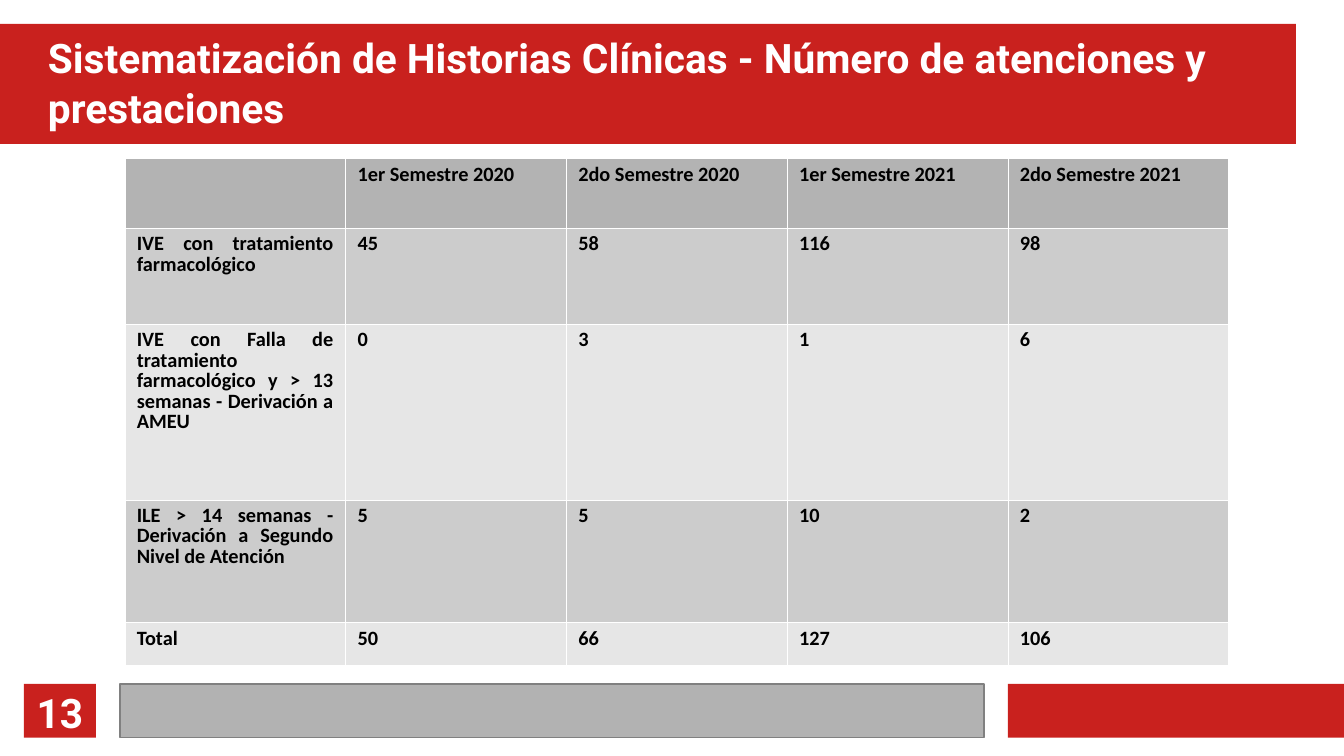
import pptx
import pptx.util
import pptx.dml.color
import pptx.enum.shapes
import pptx.enum.text
import pptx.oxml
import pptx.oxml.ns

Cm = pptx.util.Cm
Pt = pptx.util.Pt
RGBColor = pptx.dml.color.RGBColor
MSO_ANCHOR = pptx.enum.text.MSO_ANCHOR
PP_ALIGN = pptx.enum.text.PP_ALIGN

RED = RGBColor(0xC9, 0x21, 0x1E)
WHITE = RGBColor(0xFF, 0xFF, 0xFF)
BLACK = RGBColor(0, 0, 0)
BAR_GRAY = RGBColor(0xB2, 0xB2, 0xB2)
BAR_EDGE = RGBColor(0x80, 0x80, 0x80)
HEADER_GRAY = RGBColor(0xB3, 0xB3, 0xB3)
DARK_ROW = RGBColor(0xCC, 0xCC, 0xCC)
LIGHT_ROW = RGBColor(0xE6, 0xE6, 0xE6)


def write(p, text, font, size, color, spacing, align):
    p.line_spacing = spacing
    p.alignment = align
    r = p.add_run()
    r.text = text
    r.font.name = font
    r.font.size = Pt(size)
    r.font.bold = True
    r.font.color.rgb = color


def set_frame(tf, anchor):
    tf.word_wrap = True
    tf.auto_size = pptx.enum.text.MSO_AUTO_SIZE.NONE
    tf.margin_left = tf.margin_right = tf.margin_top = tf.margin_bottom = 0
    tf.vertical_anchor = anchor


prs = pptx.Presentation()
prs.slide_width = Cm(28)
prs.slide_height = Cm(15.75)
s = prs.slides.add_slide(prs.slide_layouts[5])

bars = [
    (0, 0.5, 27, 2.5, RED),
    (21, 14.25, 7, 1.12, RED),
    (2.5, 14.25, 18, 1.12, BAR_GRAY),
    (0.5, 14.25, 1.5, 1.12, RED),
]
for left, top, width, height, color in bars:
    sp = s.shapes.add_shape(pptx.enum.shapes.MSO_SHAPE.RECTANGLE,
                            Cm(left), Cm(top), Cm(width), Cm(height))
    sp.shadow.inherit = False
    sp.fill.solid()
    sp.fill.fore_color.rgb = color
    if color == BAR_GRAY:
        sp.line.color.rgb = BAR_EDGE
        sp.line.width = Pt(0.75)
    else:
        sp.line.fill.background()

title = s.shapes.title
title.left, title.top, title.width, title.height = Cm(1), Cm(0.75), Cm(26), Cm(2)
set_frame(title.text_frame, MSO_ANCHOR.BOTTOM)
write(title.text_frame.paragraphs[0],
      "Sistematización de Historias Clínicas - Número de atenciones y prestaciones",
      "Roboto", 24, WHITE, 1.04, PP_ALIGN.LEFT)
s.shapes.element.append(title.element)

rows = [
    (1.45, HEADER_GRAY, ["", "1er Semestre 2020", "2do Semestre 2020",
                         "1er Semestre 2021", "2do Semestre 2021"]),
    (2, DARK_ROW, ["IVE con tratamiento farmacológico", "45", "58", "116", "98"]),
    (3.66, LIGHT_ROW, ["IVE con Falla de tratamiento farmacológico y > 13 semanas"
                       " - Derivación a AMEU", "0", "3", "1", "6"]),
    (2.56, DARK_ROW, ["ILE > 14 semanas - Derivación a Segundo Nivel de Atención",
                      "5", "5", "10", "2"]),
    (0.89, LIGHT_ROW, ["Total", "50", "66", "127", "106"]),
]
table = s.shapes.add_table(5, 5, Cm(2.6), Cm(3.3), Cm(23), Cm(10.56)).table
for col in table.columns:
    col.width = Cm(4.6)
for i, (height, color, texts) in enumerate(rows):
    table.rows[i].height = Cm(height)
    for j, text in enumerate(texts):
        cell = table.cell(i, j)
        cell.margin_left = cell.margin_right = Cm(0.25)
        cell.margin_top = cell.margin_bottom = Cm(0.13)
        if text:
            write(cell.text_frame.paragraphs[0], text, "Calibri", 12, BLACK,
                  0.83, PP_ALIGN.JUSTIFY)
        tcPr = cell._tc.get_or_add_tcPr()
        for side in ("lnL", "lnR", "lnT", "lnB"):
            tcPr.append(pptx.oxml.parse_xml(
                f'<a:{side} {pptx.oxml.ns.nsdecls("a")} w="720"><a:solidFill>'
                f'<a:srgbClr val="{WHITE}"/></a:solidFill></a:{side}>'))
        cell.fill.solid()
        cell.fill.fore_color.rgb = color

number = s.shapes.add_textbox(Cm(-0.5), Cm(14.25), Cm(3.5), Cm(1.12))
set_frame(number.text_frame, MSO_ANCHOR.MIDDLE)
write(number.text_frame.paragraphs[0], "13", "Roboto", 24, WHITE, 1.04,
      PP_ALIGN.CENTER)

prs.save("out.pptx")
